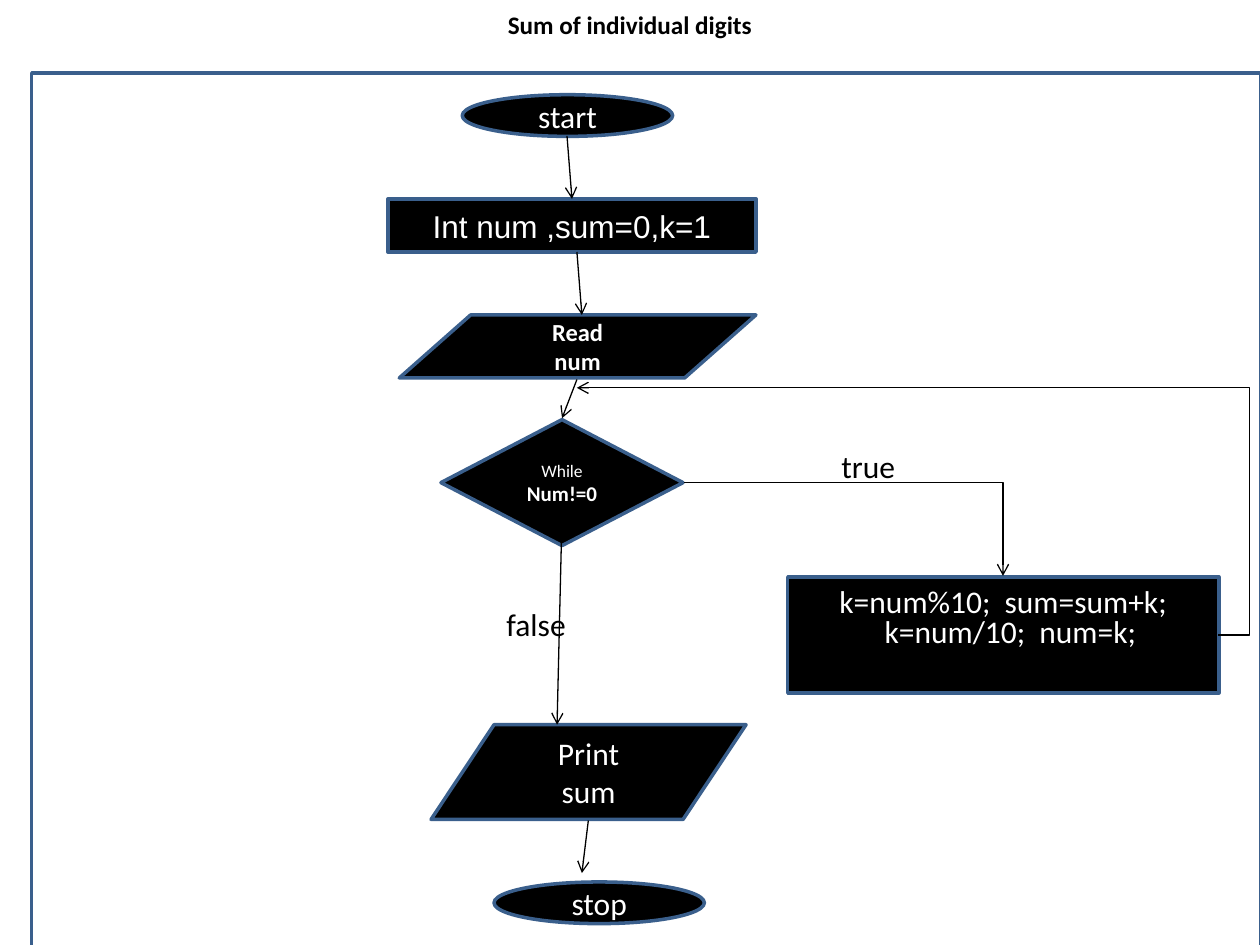
from lxml import etree
from pptx import Presentation
from pptx.dml.color import RGBColor
from pptx.enum.shapes import MSO_CONNECTOR, MSO_SHAPE
from pptx.enum.text import MSO_ANCHOR, PP_ALIGN
from pptx.oxml.ns import qn
from pptx.util import Cm, Pt

BLACK = RGBColor(0x00, 0x00, 0x00)
WHITE = RGBColor(0xFF, 0xFF, 0xFF)
BLUE = RGBColor(0x3A, 0x5F, 0x8C)
PROCESS = MSO_SHAPE.FLOWCHART_PROCESS
DECISION = MSO_SHAPE.FLOWCHART_DECISION
DATA = MSO_SHAPE.FLOWCHART_DATA
OVAL = MSO_SHAPE.OVAL
STRAIGHT, ELBOW = MSO_CONNECTOR.STRAIGHT, MSO_CONNECTOR.ELBOW
CENTER, LEFT = PP_ALIGN.CENTER, PP_ALIGN.LEFT
MIDDLE, TOP = MSO_ANCHOR.MIDDLE, MSO_ANCHOR.TOP


class Flowchart:
    """Draws flowchart elements in one style on the current slide."""

    def __init__(self, s):
        self.s = s

    def add_lines(self, sp, lines, color, size=18, bold=False, font="Calibri",
                  align=CENTER, anchor=MIDDLE, spacing=None):
        tf = sp.text_frame
        tf.word_wrap = True
        tf.vertical_anchor = anchor
        for i, line in enumerate(lines):
            p = tf.add_paragraph() if i else tf.paragraphs[0]
            p.alignment = align
            if spacing:
                p.line_spacing = spacing
            r = p.add_run()
            r.text = line
            r.font.name = font
            r.font.size = Pt(size)
            r.font.bold = bold
            r.font.color.rgb = color
        return tf

    def node(self, kind, box, *lines, fill=BLACK, **style):
        sp = self.s.shapes.add_shape(kind, *map(Cm, box))
        sp.shadow.inherit = False
        sp.fill.solid()
        sp.fill.fore_color.rgb = fill
        sp.line.color.rgb = BLUE
        sp.line.width = Pt(2)
        return self.add_lines(sp, lines, WHITE, **style)

    def label(self, box, text, **style):
        sp = self.s.shapes.add_textbox(*map(Cm, box))
        self.add_lines(sp, [text], BLACK, **style)

    def arrow(self, start, end, kind=STRAIGHT):
        c = self.s.shapes.add_connector(kind, *map(Cm, start + end))
        c.line.color.rgb = BLACK
        c.line.width = Pt(0.75)
        props = c._element.spPr
        etree.SubElement(props.get_or_add_ln(), qn("a:tailEnd"), type="arrow")
        etree.SubElement(props, qn("a:effectLst"))
        return props.find(qn("a:prstGeom"))

    def corner_arrow(self, start, end):
        self.arrow(start, end, ELBOW).set("prst", "bentConnector2")

    def loop_arrow(self, start, end, bend):
        geom = self.arrow(start, end, ELBOW)
        guides = geom.find(qn("a:avLst"))
        if guides is None:
            guides = etree.SubElement(geom, qn("a:avLst"))
        etree.SubElement(guides, qn("a:gd"), name="adj1", fmla=f"val {bend}")


prs = Presentation()
prs.slide_width, prs.slide_height = Cm(25.4), Cm(19.05)
chart = Flowchart(prs.slides.add_slide(prs.slide_layouts[6]))

chart.label((1.27, 0.13, 22.86, 0.71), "Sum of individual digits",
            size=14.4, bold=True, anchor=MIDDLE)
chart.node(PROCESS, (0.64, 1.47, 24.77, 17.78), fill=WHITE)
chart.node(OVAL, (9.32, 1.91, 4.24, 0.84), "start")
chart.node(OVAL, (9.96, 17.78, 4.24, 0.84), "stop")
chart.node(PROCESS, (7.82, 4.01, 7.42, 1.07), "Int num ,sum=0,k=1", font="Arial")
condition = chart.node(DECISION, (8.89, 8.46, 4.88, 2.54), "While", "Num!=0",
                       size=12, bold=True)
while_font = condition.paragraphs[0].runs[0].font
while_font.size, while_font.bold = Pt(10), False
chart.node(DATA, (8.05, 6.35, 7.19, 1.27), "Read", "num", size=14, bold=True)
chart.node(DATA, (8.69, 14.61, 6.35, 1.91), "Print", "sum")
body = chart.node(PROCESS, (15.88, 11.63, 8.69, 2.34), "k=num%10;  sum=sum+k;",
                  "k=num/10;  num=k;", spacing=0.8)
body.margin_bottom = Cm(0.75)
body.paragraphs[1]._p.get_or_add_pPr().set("marL", str(Cm(0.29)))

for start, end in [
    ((11.43, 2.74), (11.53, 4.01)),
    ((11.63, 5.08), (11.73, 6.35)),
    ((11.63, 7.65), (11.33, 8.43)),
    ((11.86, 16.54), (11.73, 17.6)),
    ((11.33, 10.36), (11.23, 14.61)),
]:
    chart.arrow(start, end)
chart.corner_arrow((13.79, 9.73), (20.22, 11.61))
chart.loop_arrow((24.56, 12.8), (11.63, 7.82), -4900)

for left, top, text in [(9.96, 12.07, "false"), (16.71, 8.89, "true")]:
    chart.label((left, top, 3.18, 1.02), text, align=LEFT, anchor=TOP)

prs.save("out.pptx")
